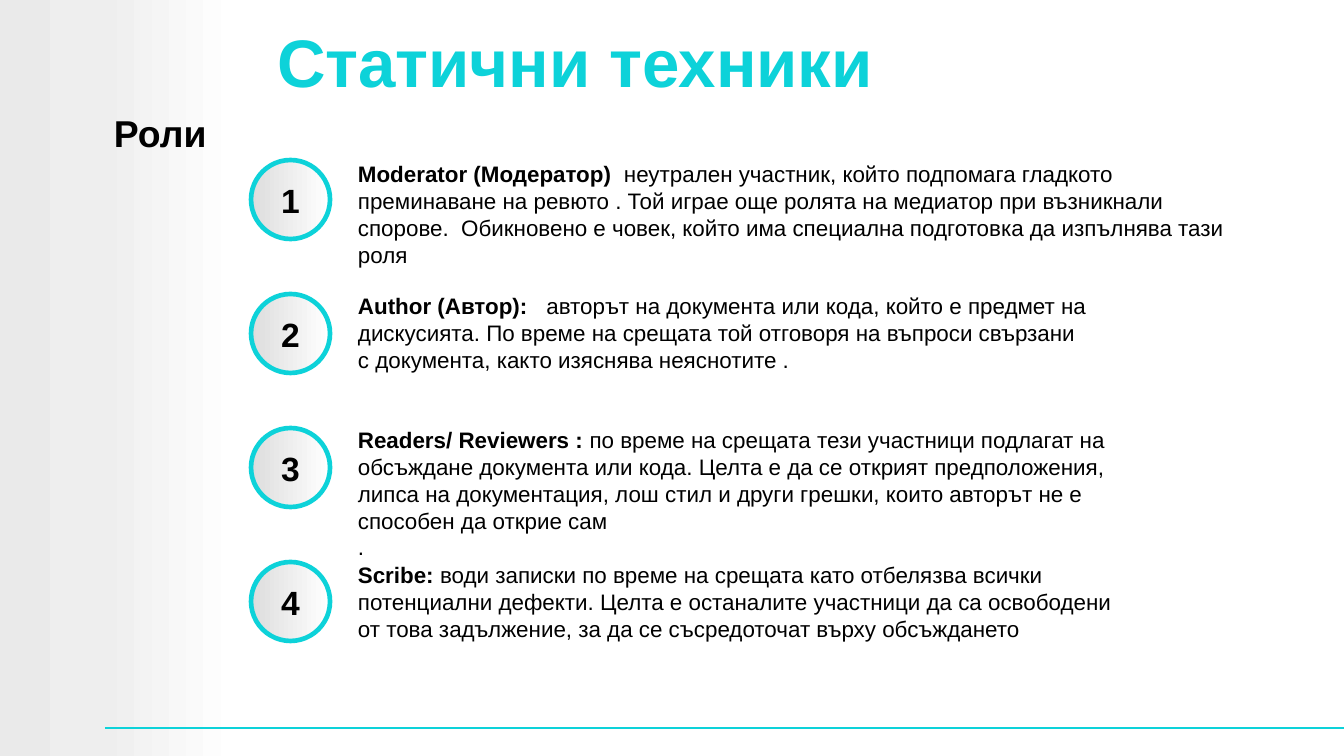
import lxml.etree
import pptx
import pptx.dml.color
import pptx.enum.shapes
import pptx.enum.text
import pptx.oxml.ns
import pptx.util

PX = 914400 / 134.4
TURQUOISE = pptx.dml.color.RGBColor(0x0D, 0xD2, 0xD9)
BLACK = pptx.dml.color.RGBColor(0x00, 0x00, 0x00)
WHITE = pptx.dml.color.RGBColor(0xFF, 0xFF, 0xFF)
SILVER = pptx.dml.color.RGBColor(0xDD, 0xDD, 0xDD)
LIGHT_GRAY = pptx.dml.color.RGBColor(0xEA, 0xEA, 0xEA)
PALE_GRAY = pptx.dml.color.RGBColor(0xEE, 0xEE, 0xEE)

SIDEBAR_STOPS = [(0, LIGHT_GRAY), (42, PALE_GRAY), (100, WHITE)]
BADGE_STOPS = [(0, SILVER), (100, WHITE)]
ROW_PITCH = 134

ROLES = [
    (153, 907, 117, [[
        ("Moderator (Модератор)  ", True),
        ("неутрален участник, който подпомага гладкото преминаване на ревюто . "
         "Той играе още ролята на медиатор при възникнали спорове.  Обикновено е човек, "
         "който има специална подготовка да изпълнява тази роля", False),
    ]]),
    (285, 749, 91, [[
        ("Author (Автор):   ", True),
        ("авторът на докумeнта или кода, който е предмет на дискусията. "
         "По време на срещата той отговоря на въпроси свързани с документа, "
         "както изяснява неяснотите .", False),
    ]]),
    (419, 781, 144, [[
        ("Readers/ Reviewers : ", True),
        ("по време на срещата тези участници подлагат на обсъждане документа или кода. "
         "Целта е да се открият предположения, липса на документация, лош стил и други "
         "грешки, които авторът не е способен да открие сам", False),
    ], [(".", False)]]),
    (554, 790, 91, [[
        ("Scribe: ", True),
        ("води записки по време на срещата като отбелязва всички потенциални дефекти. "
         "Целта е останалите участници да са освободени от това задължение, "
         "за да се съсредоточат върху обсъждането", False),
    ]]),
]


def emu(*lengths):
    return [pptx.util.Emu(round(length * PX)) for length in lengths]


class SlideBuilder:
    font = "Arial"
    inset = 7

    def __init__(self, slide):
        self.slide = slide

    def gradient_shape(self, shapes, kind, box, stops, outline=None):
        shape = shapes.add_shape(kind, *emu(*box))
        shape.shadow.inherit = False
        shape.fill.gradient()
        shape.fill.gradient_angle = 0
        qn = pptx.oxml.ns.qn
        stop_list = shape.fill._xPr.find(qn("a:gradFill")).find(qn("a:gsLst"))
        for stop in list(stop_list):
            stop_list.remove(stop)
        for position, color in stops:
            stop = lxml.etree.SubElement(stop_list, qn("a:gs"), pos=str(position * 1000))
            lxml.etree.SubElement(stop, qn("a:srgbClr"), val=str(color))
        if outline is None:
            shape.line.fill.background()
        else:
            shape.line.color.rgb = outline
            shape.line.width = pptx.util.Pt(2.5)

    def line(self, start, end):
        connector = self.slide.shapes.add_connector(
            pptx.enum.shapes.MSO_CONNECTOR.STRAIGHT, *emu(*start, *end))
        connector.line.color.rgb = TURQUOISE
        connector.line.width = pptx.util.Pt(1)
        lxml.etree.SubElement(connector._element.spPr, pptx.oxml.ns.qn("a:effectLst"))

    def text(self, shapes, box, paragraphs, size, color=BLACK, align=None,
             middle=False, indent=0):
        anchor = pptx.enum.text.MSO_ANCHOR
        frame = shapes.add_textbox(*emu(*box)).text_frame
        frame.word_wrap = True
        frame.vertical_anchor = anchor.MIDDLE if middle else anchor.TOP
        frame.margin_left, frame.margin_top, frame.margin_right, frame.margin_bottom = emu(
            self.inset + indent, self.inset, self.inset, self.inset)
        for index, runs in enumerate(paragraphs):
            paragraph = frame.add_paragraph() if index else frame.paragraphs[0]
            paragraph.alignment = align
            for content, bold in runs:
                run = paragraph.add_run()
                run.text = content
                run.font.name = self.font
                run.font.size = pptx.util.Pt(size)
                run.font.bold = bold
                run.font.color.rgb = color

    def badge(self, number, top):
        group = self.slide.shapes.add_group_shape()
        self.gradient_shape(group.shapes, pptx.enum.shapes.MSO_SHAPE.OVAL,
                            (251, top, 79, 79), BADGE_STOPS, TURQUOISE)
        self.text(group.shapes, (271, top + 15, 39, 51), [[(str(number), True)]], 18,
                  align=pptx.enum.text.PP_ALIGN.CENTER, middle=True)


def main():
    presentation = pptx.Presentation()
    presentation.slide_width, presentation.slide_height = emu(1344, 756)
    slide = presentation.slides.add_slide(presentation.slide_layouts[6])
    builder = SlideBuilder(slide)
    builder.gradient_shape(slide.shapes, pptx.enum.shapes.MSO_SHAPE.RECTANGLE,
                           (0, 0, 238, 756), SIDEBAR_STOPS)
    builder.line((105, 728), (1344, 728))
    builder.text(slide.shapes, (233, 4, 1111, 114), [[("Статични техники", True)]], 36,
                 color=TURQUOISE, middle=True, indent=37)
    for index, (top, width, height, paragraphs) in enumerate(ROLES):
        builder.badge(index + 1, 160 + index * ROW_PITCH)
        builder.text(slide.shapes, (351, top, width, height), paragraphs, 12)
    builder.text(slide.shapes, (107, 103, 558, 55), [[("Роли", True)]], 20)
    presentation.save("out.pptx")


if __name__ == "__main__":
    main()
